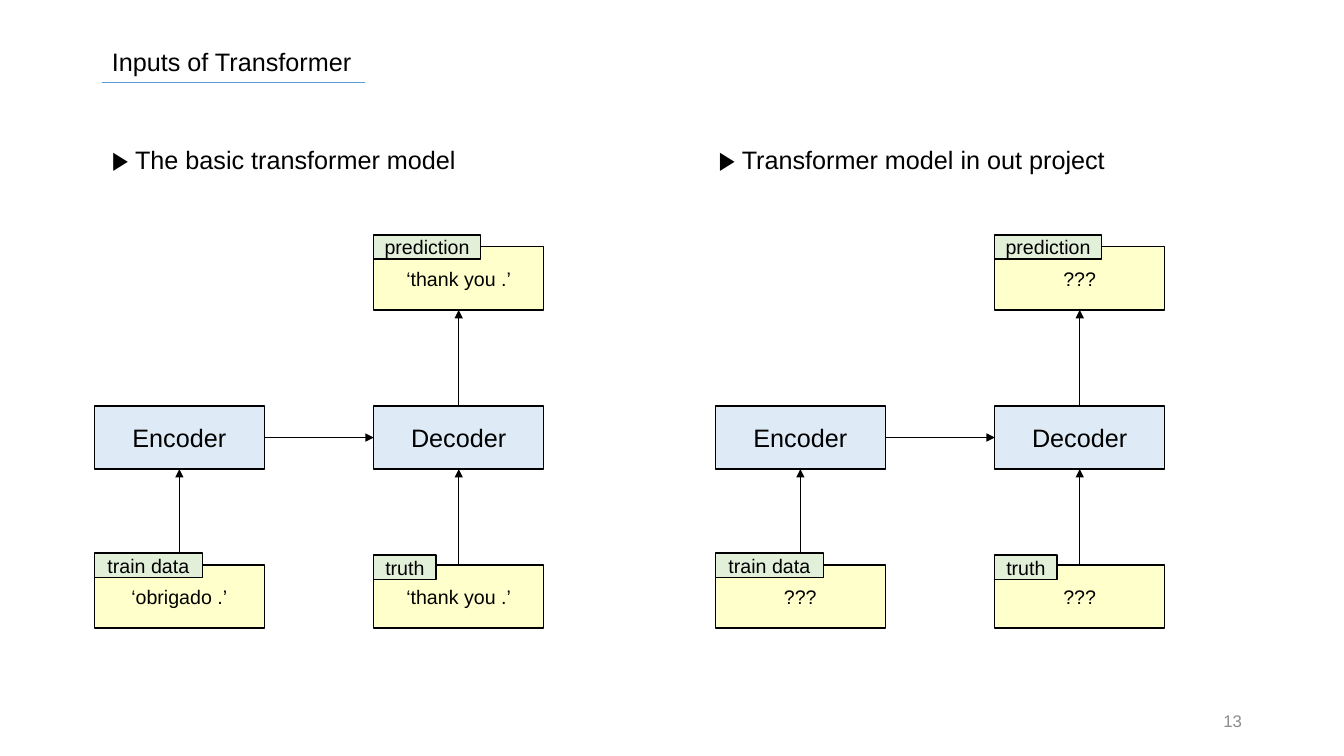
from typing import NamedTuple

from lxml import etree
from pptx import Presentation
from pptx.dml.color import RGBColor
from pptx.enum.shapes import MSO_CONNECTOR, MSO_SHAPE
from pptx.enum.text import MSO_ANCHOR, MSO_AUTO_SIZE, PP_ALIGN
from pptx.oxml.ns import qn
from pptx.util import Cm, Pt

RECT, STRAIGHT = MSO_SHAPE.RECTANGLE, MSO_CONNECTOR.STRAIGHT
MIDDLE, TOP_ANCHOR = MSO_ANCHOR.MIDDLE, MSO_ANCHOR.TOP
LEFT_ALIGN, CENTER, RIGHT_ALIGN = PP_ALIGN.LEFT, PP_ALIGN.CENTER, PP_ALIGN.RIGHT
FIT = MSO_AUTO_SIZE.SHAPE_TO_FIT_TEXT
TOP, LEFT, BOTTOM, RIGHT = range(4)

BLACK = RGBColor(0x00, 0x00, 0x00)
GRAY = RGBColor(0x8C, 0x8C, 0x8C)
ACCENT = RGBColor(0x5B, 0x9B, 0xD5)
BLUE = RGBColor(0xDE, 0xEB, 0xF7)
YELLOW = RGBColor(0xFF, 0xFF, 0xCC)
GREEN = RGBColor(0xE2, 0xF0, 0xD9)

# Diagram grid in centimetres
COL_STEP, ROW_TOP, ROW_STEP = 7.04, 6.22, 4.01
BOX_W, BOX_H, TAG_H = 4.28, 1.59, 0.61


class Panel(NamedTuple):
    heading: str
    heading_x: float
    heading_w: float
    x: float
    source: str
    target: str


class Box(NamedTuple):
    name: str
    col: int
    row: int
    fill: RGBColor
    size: int


class Tag(NamedTuple):
    text: str
    col: int
    row: int
    width: float
    rise: float


class Arrow(NamedTuple):
    start: str
    start_side: int
    end: str
    end_side: int


PANELS = [
    Panel("▶ The basic transformer model", 2.57, 10.19, 2.38,
          "‘obrigado .’", "‘thank you .’"),
    Panel("▶ Transformer model in out project", 17.86, 12.73, 18.03,
          "???", "???"),
]
BOXES = [
    Box("Encoder", 0, 1, BLUE, 18),
    Box("Decoder", 1, 1, BLUE, 18),
    Box("source", 0, 2, YELLOW, 14),
    Box("target", 1, 2, YELLOW, 14),
    Box("prediction", 1, 0, YELLOW, 14),
]
ARROWS = [
    Arrow("Encoder", RIGHT, "Decoder", LEFT),
    Arrow("source", TOP, "Encoder", BOTTOM),
    Arrow("target", TOP, "Decoder", BOTTOM),
    Arrow("Decoder", TOP, "prediction", BOTTOM),
]
TAGS = [
    Tag("train data", 0, 2, 2.72, 0.3),
    Tag("truth", 1, 2, 1.57, 0.25),
    Tag("prediction", 1, 0, 2.69, 0.3),
]


def write(sp, text: str, size: int, color=BLACK, align=LEFT_ALIGN, **frame) -> None:
    tf = sp.text_frame
    for key, value in {"word_wrap": True, **frame}.items():
        setattr(tf, key, value)
    p = tf.paragraphs[0]
    p.alignment = align
    r = p.add_run()
    r.text = text
    for key, value in {"name": "Arial", "size": Pt(size)}.items():
        setattr(r.font, key, value)
    r.font.color.rgb = color


def add_text(s, x: float, y: float, w: float, text: str, size: int = 18, **style):
    sp = s.shapes.add_textbox(Cm(x), Cm(y), Cm(w), Cm(1.03))
    write(sp, text, size, **style)
    return sp


def add_rect(s, x: float, y: float, w: float, h: float, fill: RGBColor,
             text: str, size: int, wrap: bool = True):
    sp = s.shapes.add_shape(RECT, Cm(x), Cm(y), Cm(w), Cm(h))
    sp.shadow.inherit = False
    sp.fill.solid()
    sp.fill.fore_color.rgb = fill
    sp.line.color.rgb = BLACK
    sp.line.width = Pt(1)
    write(sp, text, size, align=CENTER, vertical_anchor=MIDDLE, word_wrap=wrap)
    return sp


def add_line(s, x1: float, y1: float, x2: float, y2: float,
             color: RGBColor, width: float):
    line = s.shapes.add_connector(STRAIGHT, Cm(x1), Cm(y1), Cm(x2), Cm(y2))
    line.line.color.rgb = color
    line.line.width = Pt(width)
    etree.SubElement(line._element.spPr, qn("a:effectLst"))
    return line


def add_arrow(s, arrow: Arrow, shapes: dict) -> None:
    line = add_line(s, 0, 0, 0, 0, BLACK, 1)
    line.begin_connect(shapes[arrow.start], arrow.start_side)
    line.end_connect(shapes[arrow.end], arrow.end_side)
    etree.SubElement(line.line._get_or_add_ln(), qn("a:tailEnd"), type="triangle")


def add_panel(s, panel: Panel) -> None:
    add_text(s, panel.heading_x, 3.51, panel.heading_w, panel.heading, auto_size=FIT)
    words = {"source": panel.source, "target": panel.target, "prediction": panel.target}
    shapes = {}
    for box in BOXES:
        shapes[box.name] = add_rect(
            s, panel.x + box.col * COL_STEP, ROW_TOP + box.row * ROW_STEP,
            BOX_W, BOX_H, box.fill, words.get(box.name, box.name), box.size)
    for arrow in ARROWS:
        add_arrow(s, arrow, shapes)
    # Tags lie over the arrows and box corners
    for tag in TAGS:
        add_rect(s, panel.x + tag.col * COL_STEP,
                 ROW_TOP + tag.row * ROW_STEP - tag.rise,
                 tag.width, TAG_H, GREEN, tag.text, 14, wrap=False)


def main() -> None:
    prs = Presentation()
    prs.slide_width, prs.slide_height = Cm(33.87), Cm(19.05)
    s = prs.slides.add_slide(prs.slide_layouts[6])

    # Title with underline
    add_text(s, 2.57, 1.04, 14.45, "Inputs of Transformer", auto_size=FIT)
    add_line(s, 2.57, 2.08, 9.19, 2.08, ACCENT, 0.5)

    # Two model diagrams
    for panel in PANELS:
        add_panel(s, panel)

    # Slide number
    add_text(s, 23.93, 17.65, 7.62, "13", 12, color=GRAY, align=RIGHT_ALIGN,
             vertical_anchor=MIDDLE)
    prs.save("out.pptx")


if __name__ == "__main__":
    main()
